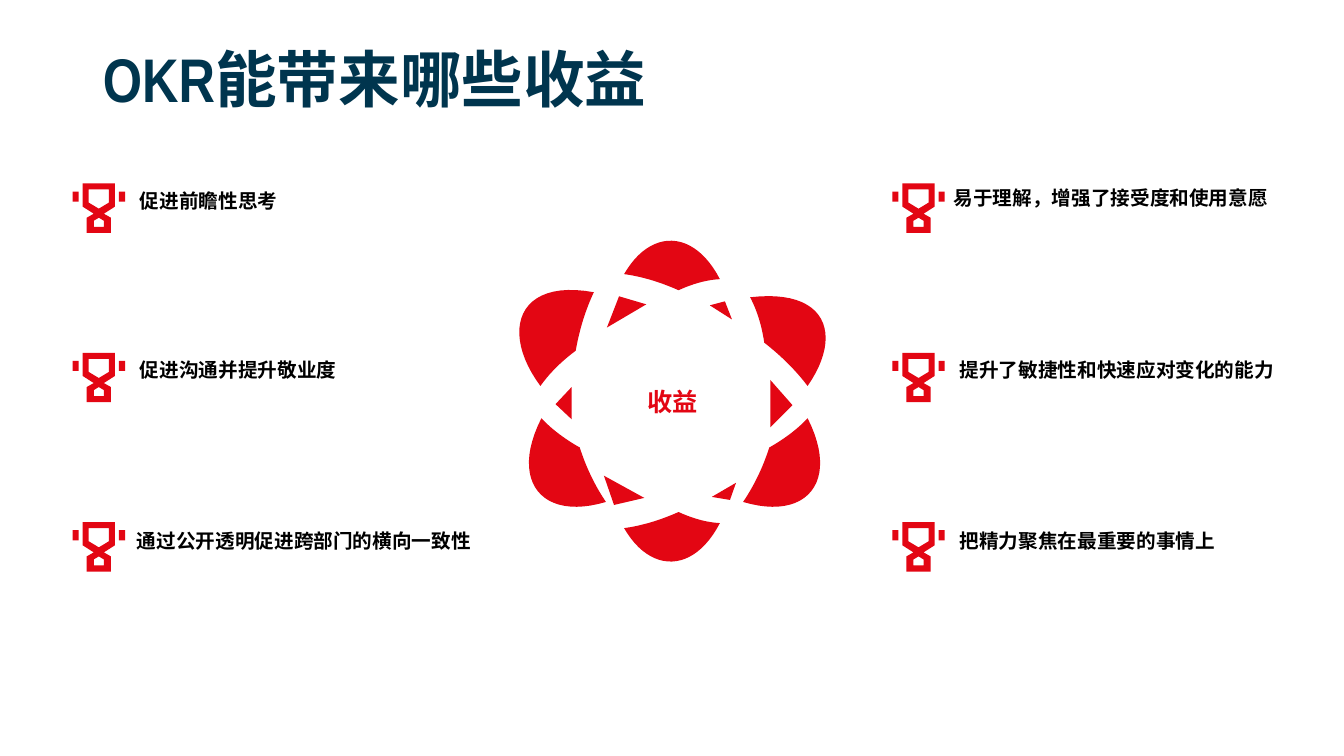
from dataclasses import dataclass
from math import hypot

from pptx import Presentation
from pptx.dml.color import RGBColor
from pptx.enum.lang import MSO_LANGUAGE_ID as Language
from pptx.enum.text import MSO_ANCHOR as Anchor, MSO_AUTO_SIZE as AutoSize, PP_ALIGN as Align
from pptx.util import Inches, Pt

TITLE = "OKR能带来哪些收益"
CENTRE_LABEL = "收益"

# Icon column: left edge, then (text, label left, label top, label width) for each row
COLUMNS = [
    (0.72, [
        ("促进前瞻性思考", 1.29, 1.81, 3.36),
        ("促进沟通并提升敬业度", 1.29, 3.48, 3.36),
        ("通过公开透明促进跨部门的横向一致性", 1.26, 5.18, 3.55),
    ]),
    (8.85, [
        ("易于理解，增强了接受度和使用意愿", 9.36, 1.78, 3.36),
        ("提升了敏捷性和快速应对变化的能力", 9.42, 3.48, 3.36),
        ("把精力聚焦在最重要的事情上", 9.42, 5.18, 3.36),
    ]),
]
ROW_TOP, ROW_STEP = 1.82, 1.68
LABEL_HEIGHT = 0.37

# Left halves of the trophy's cup with foot, cup opening and foot opening
TROPHY_AXIS = 0.26
TROPHY_HALVES = [
    [(0.1, 0), (0.1, 0.23), (0.21, 0.3), (0.14, 0.34), (0.14, 0.49)],
    [(0.16, 0.06), (0.16, 0.19), (0.26, 0.25)],
    [(0.26, 0.34), (0.21, 0.37), (0.21, 0.43)],
]
TROPHY_HANDLE = [(0, 0.08), (0.06, 0.08), (0.06, 0.18), (0, 0.18)]

# Petals: four Bezier points for the tip, then the inner corner
TOP_PETAL = [(6.19, 2.72), (6.45, 2.27), (6.88, 2.27), (7.14, 2.77), (6.73, 2.88)]
UPPER_LEFT_PETAL = [(5.36, 3.83), (4.96, 3.29), (5.13, 2.76), (5.89, 2.9), (5.71, 3.48)]
UPPER_RIGHT_PETAL = [(7.44, 2.95), (8.19, 2.86), (8.37, 3.31), (8.01, 3.83), (7.58, 3.4)]
LOWER_RIGHT_PETAL = [(8.01, 4.15), (8.33, 4.78), (8, 5.17), (7.37, 4.98), (7.63, 4.44)]
CHIPS = [
    [(7.19, 2.99), (7.26, 3.17), (7.04, 3.03)],
    [(7.64, 3.77), (7.86, 4.02), (7.64, 4.24)],
    [(7.3, 4.79), (7.24, 4.96), (7.06, 4.93)],
    [(5.99, 4.72), (6.39, 4.94), (6.09, 5.01)],
    [(5.67, 3.84), (5.67, 4.16), (5.51, 4.01)],
    [(6.14, 2.94), (6.41, 3.02), (6.02, 3.25)],
]
FLOWER_X, FLOWER_Y = 6.69, 3.98
EDGE_BOW = 0.03
CURVE_STEPS = 24


@dataclass(frozen=True)
class Theme:
    font: str = "Arial Narrow"
    navy: RGBColor = RGBColor(0x00, 0x35, 0x4E)
    red: RGBColor = RGBColor(0xE3, 0x06, 0x13)
    black: RGBColor = RGBColor(0, 0, 0)
    title_size: int = 44
    centre_size: int = 18
    label_size: int = 14


THEME = Theme()


def write(shape, text, size, color, align=Align.LEFT):
    frame = shape.text_frame
    frame.word_wrap = True
    frame.auto_size = AutoSize.NONE
    frame.vertical_anchor = Anchor.MIDDLE
    para = frame.paragraphs[0]
    para.alignment = align
    span = para.add_run()
    span.text = text
    font = span.font
    font.name, font.size, font.bold = THEME.font, Pt(size), True
    font.color.rgb = color
    font.language_id = Language.SIMPLIFIED_CHINESE
    return para


def mirror_x(points, axis):
    return [(2 * axis - x, y) for x, y in points]


def mirror_y(points, axis):
    return [(x, 2 * axis - y) for x, y in points]


def curve(*corners):
    """Sample a cubic Bezier curve."""
    points = []
    for step in range(CURVE_STEPS + 1):
        t = step / CURVE_STEPS
        u = 1 - t
        weights = (u ** 3, 3 * u * u * t, 3 * u * t * t, t ** 3)
        points.append(tuple(
            sum(weight * corner[axis] for weight, corner in zip(weights, corners))
            for axis in (0, 1)))
    return points


def inner_edge(start, end):
    """Join two corners by a curve that bows away from the flower's centre."""
    (x1, y1), (x2, y2) = start, end
    out_x, out_y = (x1 + x2) / 2 - FLOWER_X, (y1 + y2) / 2 - FLOWER_Y
    scale = EDGE_BOW / hypot(out_x, out_y)
    controls = [
        (x1 + (x2 - x1) * part + out_x * scale, y1 + (y2 - y1) * part + out_y * scale)
        for part in (1 / 3, 2 / 3)]
    return curve(start, *controls, end)


def petal_outline(petal):
    *tip, inner = petal
    return curve(*tip) + inner_edge(tip[-1], inner)[1:] + inner_edge(inner, tip[0])[1:]


def flower_outlines():
    petals = [
        TOP_PETAL, mirror_y(TOP_PETAL, FLOWER_Y),
        UPPER_LEFT_PETAL, UPPER_RIGHT_PETAL,
        LOWER_RIGHT_PETAL, mirror_x(LOWER_RIGHT_PETAL, FLOWER_X),
    ]
    return [petal_outline(petal) for petal in petals] + CHIPS


def trophy_outlines():
    whole = [half + mirror_x(half, TROPHY_AXIS)[::-1] for half in TROPHY_HALVES]
    return whole + [TROPHY_HANDLE, mirror_x(TROPHY_HANDLE, TROPHY_AXIS)]


def add_outline(page, contours, left=0, top=0):
    """Draw closed contours, given in inches, as one red shape."""
    builder = None
    for contour in contours:
        points = [(Inches(left + x), Inches(top + y)) for x, y in contour]
        if builder is None:
            builder = page.shapes.build_freeform(*points[0], scale=1.0)
        else:
            builder.move_to(*points[0])
        builder.add_line_segments(points[1:], close=True)
    shape = builder.convert_to_shape()
    shape.shadow.inherit = False
    shape.fill.solid()
    shape.fill.fore_color.rgb = THEME.red
    shape.line.fill.background()
    return shape


def add_title(page):
    title = page.shapes.title
    title.left, title.top = Inches(0.92), Inches(0.39)
    title.width, title.height = Inches(8), Inches(0.85)
    write(title, TITLE, THEME.title_size, THEME.navy).line_spacing = 0.9


def main():
    deck = Presentation()
    deck.slide_width, deck.slide_height = Inches(13.33), Inches(7.5)
    page = deck.slides.add_slide(deck.slide_layouts[5])
    add_title(page)

    flower = add_outline(page, flower_outlines())
    write(flower, CENTRE_LABEL, THEME.centre_size, THEME.red, Align.CENTER)

    for icon_left, labels in COLUMNS:
        for row, (text, left, top, width) in enumerate(labels):
            add_outline(page, trophy_outlines(), icon_left, ROW_TOP + row * ROW_STEP)
            box = page.shapes.add_textbox(
                Inches(left), Inches(top), Inches(width), Inches(LABEL_HEIGHT))
            write(box, text, THEME.label_size, THEME.black)
    deck.save("out.pptx")


if __name__ == "__main__":
    main()
